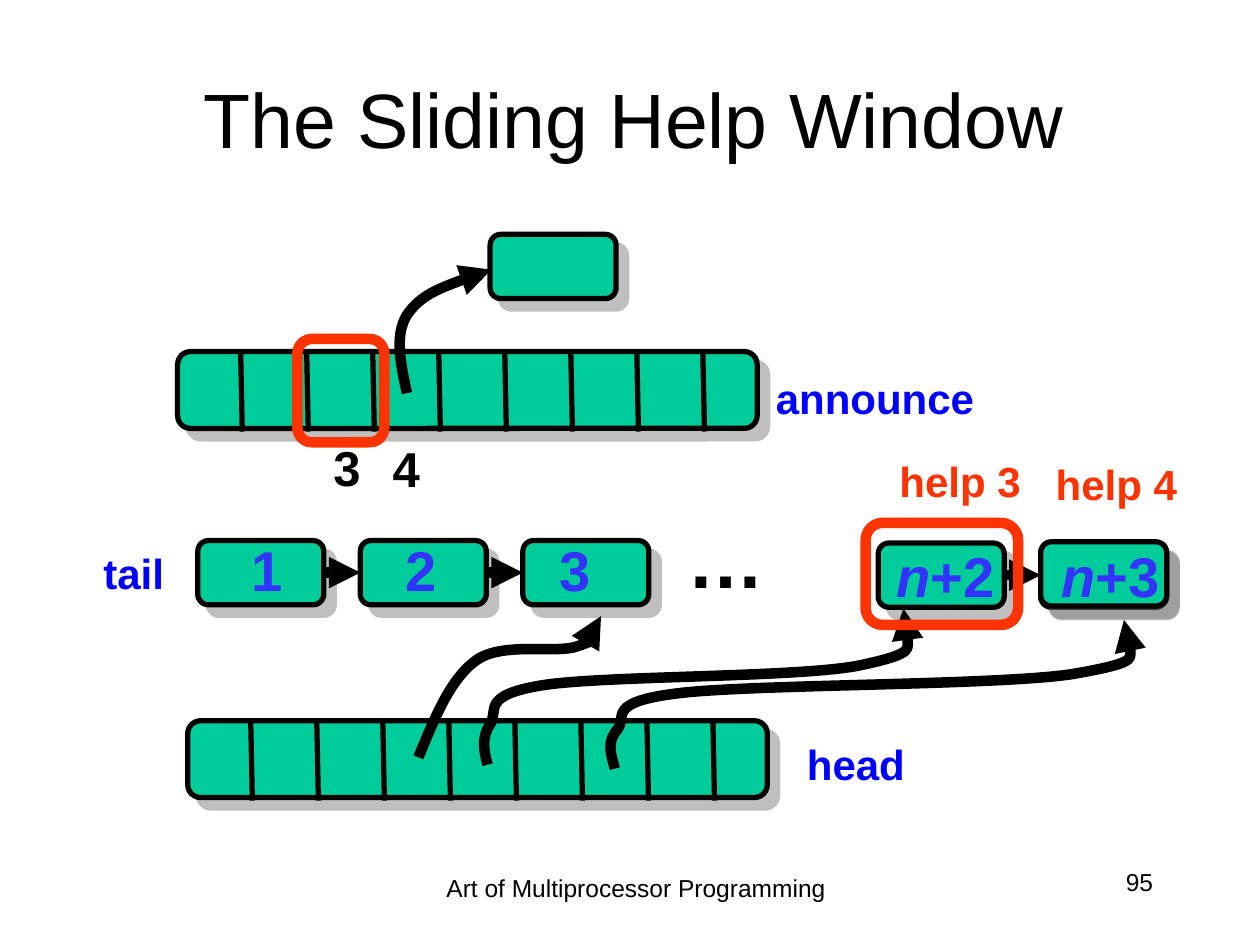
from lxml.etree import SubElement
from pptx import Presentation
from pptx.dml.color import RGBColor
from pptx.enum.shapes import MSO_CONNECTOR as Connector, MSO_SHAPE as Shape
from pptx.enum.text import MSO_ANCHOR as Anchor, MSO_AUTO_SIZE as AutoSize, PP_ALIGN as Align
from pptx.oxml.ns import qn
from pptx.util import Inches, Pt

SLIDE_WIDTH, SLIDE_HEIGHT = Inches(10), Inches(7.5)
COLUMN, ROW = SLIDE_WIDTH / 100, SLIDE_HEIGHT / 75
COLORS = {
    "black": "000000",
    "green": "00CC99",
    "label": "0000FF",
    "number": "3333FF",
    "window": "FF3300",
    "shadow": "808080",
}
NODE_WIDTH, NODE_HEIGHT, NODE_PITCH = 10, 5.1, 12.9
TAIL_LEFT, TAIL_TOP = 15.7, 42.9
LATE_LEFT, LATE_TOP = 69.7, 43.1
ARRAY_WIDTH, ARRAY_HEIGHT = 46, 6.1
CELL_OFFSET, CELL_PITCH, CELL_COUNT = 5, 5.24, 9


def color(name):
    return RGBColor.from_string(COLORS[name])


def grid(column, row):
    return round(column * COLUMN), round(row * ROW)


def box(left, top, width, height):
    return *grid(left, top), *grid(width, height)


def set_line(shape, name, width, arrow=False):
    shape.line.color.rgb = color(name)
    shape.line.width = Pt(width)
    if arrow:
        SubElement(shape.element.spPr.find(qn("a:ln")), qn("a:tailEnd"), type="triangle")


def write(frame, *runs, size, name="black", bold=False, align=Align.RIGHT, anchor=Anchor.TOP, wrap=False):
    frame.word_wrap = wrap
    frame.auto_size = AutoSize.NONE if wrap else AutoSize.SHAPE_TO_FIT_TEXT
    frame.vertical_anchor = anchor
    paragraph = frame.paragraphs[0]
    paragraph.alignment = align
    for text, italic in runs:
        run = paragraph.add_run()
        run.text = text
        run.font.name = "Arial"
        run.font.size = Pt(size)
        run.font.bold = bold
        run.font.italic = italic
        run.font.color.rgb = color(name)


def add_label(shapes, position, *runs, **text_format):
    label = shapes.add_textbox(*box(*position))
    write(label.text_frame, *runs, **text_format)


def add_rounded(shapes, position, line_name, line_width):
    shape = shapes.add_shape(Shape.ROUNDED_RECTANGLE, *box(*position))
    shape.shadow.inherit = False
    shape.fill.background()
    set_line(shape, line_name, line_width)
    return shape


def add_block(shapes, left, top, width=NODE_WIDTH, height=NODE_HEIGHT):
    shape = add_rounded(shapes, (left, top, width, height), "black", 3)
    shape.fill.solid()
    shape.fill.fore_color.rgb = color("green")
    effects = shape.element.spPr.find(qn("a:effectLst"))
    shadow = SubElement(effects, qn("a:outerShdw"), dist=str(Pt(8.5)), dir="2700000",
                        algn="ctr", rotWithShape="0")
    tint = SubElement(shadow, qn("a:srgbClr"), val=COLORS["shadow"])
    SubElement(tint, qn("a:alpha"), val="50000")


def add_line(shapes, start, end, width, arrow=False):
    line = shapes.add_connector(Connector.STRAIGHT, *grid(*start), *grid(*end))
    set_line(line, "black", width, arrow)
    SubElement(line.element.spPr, qn("a:effectLst"))


def add_link(shapes, left, top):
    middle = top + NODE_HEIGHT / 2
    add_line(shapes, (left + NODE_WIDTH, middle), (left + NODE_PITCH, middle), 6, True)


def add_array(shapes, left, top):
    group = shapes.add_group_shape()
    add_block(group.shapes, left, top, ARRAY_WIDTH, ARRAY_HEIGHT)
    for cell in range(CELL_COUNT - 1):
        divider = left + CELL_OFFSET + cell * CELL_PITCH
        add_line(group.shapes, (divider, top), (divider + 0.13, top + 6.35), 3)


def add_curve(shapes, start, *points):
    builder = shapes.build_freeform(*grid(*start))
    builder.add_line_segments([grid(*point) for point in points], close=False)
    curve = builder.convert_to_shape()
    for segment in list(curve.element.iter(qn("a:lnTo")))[::3]:
        second, third = segment.getnext(), segment.getnext().getnext()
        bezier = segment.makeelement(qn("a:cubicBezTo"))
        segment.addprevious(bezier)
        for corner in (segment, second, third):
            bezier.append(corner[0])
            corner.getparent().remove(corner)
    curve.shadow.inherit = False
    curve.fill.background()
    set_line(curve, "black", 6, True)


def add_title(slide):
    title = slide.shapes.title
    title.left, title.top, title.width, title.height = box(7.8, 3.1, 85, 12.5)
    write(title.text_frame, ("The Sliding Help Window", False), size=44,
          align=Align.CENTER, anchor=Anchor.MIDDLE, wrap=True)


def add_lists(shapes):
    for index in (2, 1, 0):
        add_block(shapes, TAIL_LEFT + index * NODE_PITCH, TAIL_TOP)
    for index in range(2):
        add_link(shapes, TAIL_LEFT + index * NODE_PITCH, TAIL_TOP)
    add_array(shapes, 14.9, 57.2)
    add_block(shapes, LATE_LEFT, LATE_TOP)
    add_link(shapes, LATE_LEFT, LATE_TOP)
    add_block(shapes, LATE_LEFT + NODE_PITCH, LATE_TOP)
    add_array(shapes, 14.1, 27.9)
    add_block(shapes, 38.9, 18.6)


def add_pointers(shapes):
    add_curve(shapes, (32.3, 31.2), (31.8, 28.9), (31.3, 26.6), (32.3, 25),
              (33.4, 23.4), (36.2, 22.3), (39, 21.4))
    add_curve(shapes, (48.8, 61), (48.5, 59.9), (48.1, 58.9), (49, 57.9),
              (49.8, 56.9), (48, 55.7), (54, 55), (60, 54.3), (79.2, 54.4),
              (85.1, 53.5), (90.9, 52.5), (90.1, 50.8), (89.2, 49.2))
    add_curve(shapes, (33.2, 60.1), (34.5, 57), (35.7, 53.9), (37.8, 52.4),
              (39.9, 50.9), (44.1, 51.9), (45.8, 51.3), (47.5, 50.7), (47.6, 49.8), (47.7, 48.9))
    add_curve(shapes, (38.7, 60.7), (38.4, 59.6), (38.2, 58.5), (38.9, 57.5),
              (39.6, 56.4), (38.1, 55.2), (43, 54.4), (47.9, 53.6), (63.5, 53.8),
              (68.3, 52.8), (73, 51.8), (72.3, 50), (71.7, 48.3))


def add_labels(shapes):
    for text, left, top, width in (("head", 62.9, 58.1, 9.9), ("announce", 60.4, 29.1, 17.9),
                                   ("tail", 7.1, 43, 6.9)):
        add_label(shapes, (left, top, width, 5), (text, False), size=24, name="label", bold=True)
    for text, left, top in (("help 3", 70.4, 35.7), ("help 4", 82.8, 35.9)):
        add_label(shapes, (left, top, 12.1, 5), (text, False), size=24, name="window",
                  bold=True, align=Align.LEFT)
    for text, left, top in (("3", 25.4, 34.2), ("4", 30.1, 34.3)):
        add_label(shapes, (left, top, 4.2, 5.7), (text, False), size=28, bold=True)
    for index, text in enumerate("123"):
        add_label(shapes, (18.9 + index * 12.25, 42, 4.5, 6.4), (text, False), size=32,
                  name="number", bold=True)
    add_label(shapes, (53.5, 40.1, 8.2, 8.4), ("…", False), size=44, bold=True)


def add_late_name(shapes, left, text):
    add_label(shapes, (left, 42.5, 9.8, 6.4), ("n", True), (text, False), size=32,
              name="number", bold=True)


def main():
    presentation = Presentation()
    presentation.slide_width, presentation.slide_height = SLIDE_WIDTH, SLIDE_HEIGHT
    slide = presentation.slides.add_slide(presentation.slide_layouts[5])
    shapes = slide.shapes
    add_title(slide)
    add_lists(shapes)
    add_pointers(shapes)
    for window in ((68.7, 41.5, 12.1, 8.1), (23.6, 26.9, 6.9, 8.2)):
        add_rounded(shapes, window, "window", 6)
    add_labels(shapes)
    add_label(shapes, (71.7, 68.3, 20.8, 5), ("95", False), size=14, wrap=True)
    add_label(shapes, (32.3, 68.8, 36.4, 5), ("Art of Multiprocessor Programming", False),
              size=14, align=Align.CENTER, wrap=True)
    add_late_name(shapes, 70.1, "+2")
    last_node = shapes.add_group_shape()
    add_block(last_node.shapes, LATE_LEFT + NODE_PITCH, 43)
    add_late_name(last_node.shapes, 83.2, "+3")
    presentation.save("out.pptx")


main()
